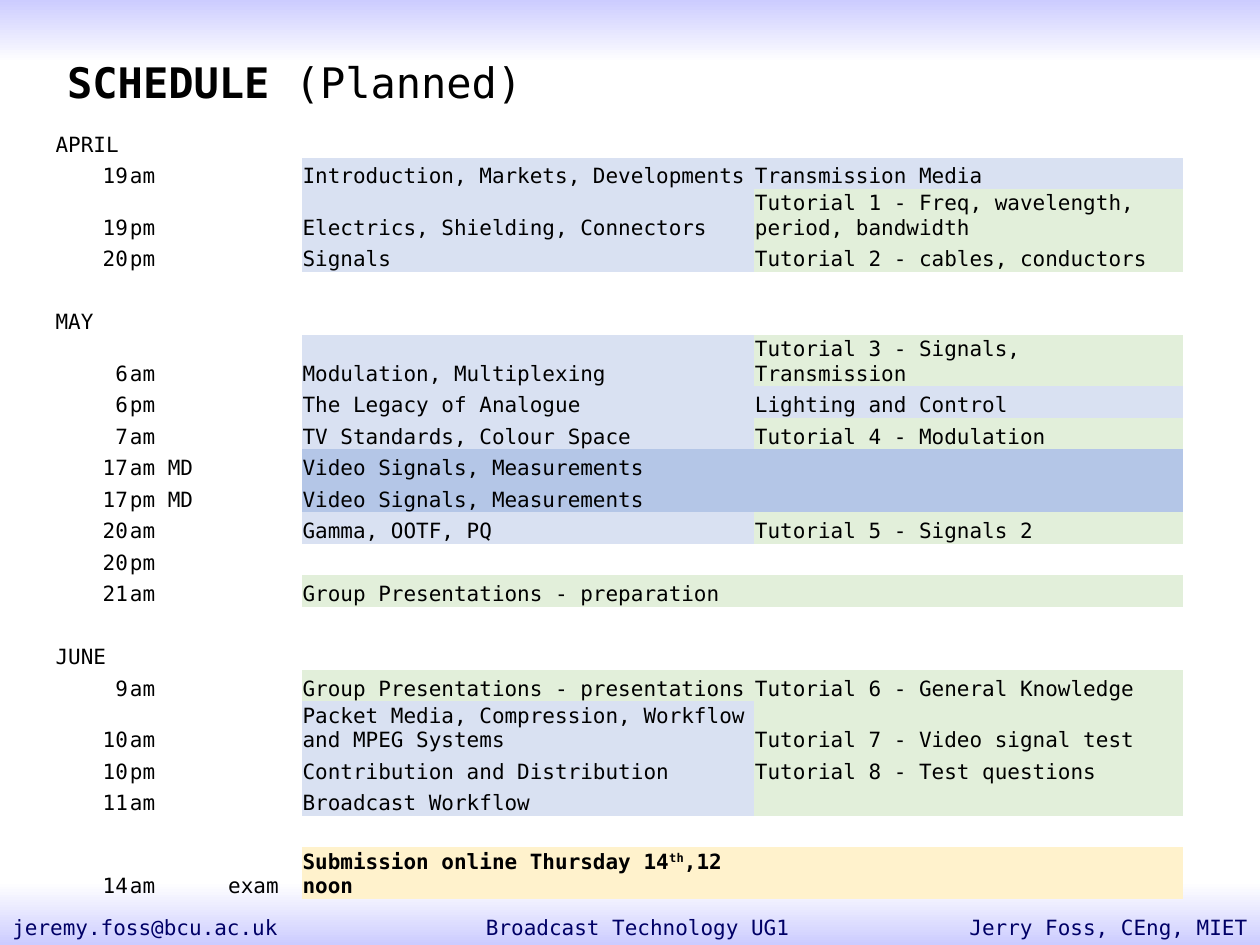
"""Build the planned schedule slide of a broadcast technology course."""
import pptx
import pptx.dml.color
import pptx.enum.shapes
import pptx.enum.text
import pptx.oxml.ns
import pptx.util
from lxml import etree

Cm = pptx.util.Cm
Pt = pptx.util.Pt
RGB = pptx.dml.color.RGBColor
Align = pptx.enum.text.PP_ALIGN
Anchor = pptx.enum.text.MSO_ANCHOR
qn = pptx.oxml.ns.qn

BLACK = RGB(0x00, 0x00, 0x00)
WHITE = RGB(0xFF, 0xFF, 0xFF)
NAVY = RGB(0x00, 0x00, 0x66)
LAVENDER = RGB(0xCC, 0xCC, 0xFF)
LECTURE = RGB(0xD9, 0xE1, 0xF2)
TUTORIAL = RGB(0xE2, 0xEF, 0xDA)
MEDIA_DAY = RGB(0xB4, 0xC6, 0xE7)
DEADLINE = RGB(0xFF, 0xF2, 0xCC)

NO_GRID_STYLE = "{2D5ABB26-0587-4C30-8999-92F81FD0307C}"
COLUMN_WIDTHS = (1.5, 1.98, 1.5, 9.12, 8.64)
ROW_HEIGHT = 0.635
SUBMISSION = (
    ("Submission online Thursday 14", {"bold": True}),
    ("th", {"bold": True, "baseline": 30000}),
    (",12 noon", {"bold": True}),
)
SESSIONS = (
    ("APRIL",),
    ("19", "am", "", "Introduction, Markets, Developments", "Transmission Media", LECTURE, LECTURE),
    ("19", "pm", "", "Electrics, Shielding, Connectors",
     "Tutorial 1 - Freq, wavelength, period, bandwidth", LECTURE, TUTORIAL),
    ("20", "pm", "", "Signals", "Tutorial 2 - cables, conductors", LECTURE, TUTORIAL),
    (),
    ("MAY",),
    ("6", "am", "", "Modulation, Multiplexing", "Tutorial 3 - Signals, Transmission", LECTURE, TUTORIAL),
    ("6", "pm", "", "The Legacy of Analogue", "Lighting and Control", LECTURE, LECTURE),
    ("7", "am", "", "TV Standards, Colour Space", "Tutorial 4 - Modulation", LECTURE, TUTORIAL),
    ("17", "am MD", "", "Video Signals, Measurements", "", MEDIA_DAY, MEDIA_DAY),
    ("17", "pm MD", "", "Video Signals, Measurements", "", MEDIA_DAY, MEDIA_DAY),
    ("20", "am", "", "Gamma, OOTF, PQ", "Tutorial 5 - Signals 2", LECTURE, TUTORIAL),
    ("20", "pm"),
    ("21", "am", "", "Group Presentations - preparation", "", TUTORIAL, TUTORIAL),
    (),
    ("JUNE",),
    ("9", "am", "", "Group Presentations - presentations", "Tutorial 6 - General Knowledge",
     TUTORIAL, TUTORIAL),
    ("10", "am", "", "Packet Media, Compression, Workflow and MPEG Systems",
     "Tutorial 7 - Video signal test", LECTURE, TUTORIAL),
    ("10", "pm", "", "Contribution and Distribution", "Tutorial 8 - Test questions", LECTURE, TUTORIAL),
    ("11", "am", "", "Broadcast Workflow", "", LECTURE, TUTORIAL),
    (),
    ("14", "am", "exam", SUBMISSION, "", DEADLINE, DEADLINE),
)


class ScheduleSlide:
    """Hold the text style and the slide being filled."""

    font_name = "DejaVu Sans Mono"
    body_size = Pt(12)
    title_size = Pt(24)

    def __init__(self, slide):
        self.slide = slide

    def apply(self, target, values):
        """Set every attribute named in values."""
        for name, value in values.items():
            setattr(target, name, value)

    def add_words(self, paragraph, runs, size, colour, align=Align.LEFT):
        """Fill a paragraph with a string or with (text, format) runs."""
        paragraph.alignment = align
        for text, extras in ((runs, {}),) if isinstance(runs, str) else runs:
            run = paragraph.add_run()
            run.text = text
            self.apply(run.font, {"name": self.font_name, "size": size, "bold": extras.get("bold", False)})
            run.font.color.rgb = colour
            if "baseline" in extras:
                run._r.get_or_add_rPr().set("baseline", str(extras["baseline"]))

    def band(self, top, colours):
        """Draw a full-width strip that fades downwards."""
        strip = self.slide.shapes.add_shape(
            pptx.enum.shapes.MSO_SHAPE.RECTANGLE, 0, Cm(top), Cm(25.4), Cm(1.27))
        strip.shadow.inherit = False
        strip.line.fill.background()
        strip.fill.gradient()
        strip.fill.gradient_angle = 270
        for stop, colour in zip(strip.fill.gradient_stops, colours):
            stop.color.rgb = colour

    def title(self, runs):
        """Place and format the title placeholder."""
        heading = self.slide.shapes.title
        self.apply(heading, {"left": Cm(1.1), "top": Cm(1.02), "width": Cm(22.76), "height": Cm(1.27)})
        self.apply(heading.text_frame, {"word_wrap": True, "vertical_anchor": Anchor.MIDDLE})
        self.add_words(heading.text_frame.paragraphs[0], runs, self.title_size, BLACK)

    def footer(self, text, left, width, align):
        """Add one piece of the footer line."""
        note = self.slide.shapes.add_textbox(Cm(left), Cm(18.31), Cm(width), Cm(0.75))
        note.text_frame.word_wrap = True
        self.add_words(note.text_frame.paragraphs[0], text, self.body_size, NAVY, align)

    def cell(self, cell, content, fill):
        """Fill one table cell, right-aligning day numbers."""
        self.apply(cell, {"margin_left": Cm(0.02), "margin_right": Cm(0.02), "margin_top": Cm(0.02),
                          "margin_bottom": 0, "vertical_anchor": Anchor.BOTTOM})
        if fill is None:
            cell.fill.background()
        else:
            cell.fill.solid()
            cell.fill.fore_color.rgb = fill
        paragraph = cell.text_frame.paragraphs[0]
        if content:
            is_day = isinstance(content, str) and content.isdigit()
            self.add_words(paragraph, content, self.body_size, BLACK, Align.RIGHT if is_day else Align.LEFT)
        else:
            etree.SubElement(paragraph._p, qn("a:endParaRPr")).set("sz", str(int(self.body_size.pt * 100)))

    def schedule(self, sessions):
        """Add the table of sessions."""
        frame = self.slide.shapes.add_table(
            len(sessions), len(COLUMN_WIDTHS), Cm(1.1), Cm(2.54),
            Cm(sum(COLUMN_WIDTHS)), Cm(ROW_HEIGHT * len(sessions)))
        timetable = frame.table
        self.apply(timetable, {"first_row": False, "horz_banding": False})
        timetable._tbl.tblPr.find(qn("a:tableStyleId")).text = NO_GRID_STYLE
        for column, width in zip(timetable.columns, COLUMN_WIDTHS):
            column.width = Cm(width)
        for row, session in zip(timetable.rows, sessions):
            row.height = Cm(ROW_HEIGHT)
            contents = session[:5] + ("",) * (5 - len(session))
            fills = (None,) * 3 + (session[5:] or (None, None))
            for cell, content, fill in zip(row.cells, contents, fills):
                self.cell(cell, content, fill)


def main():
    """Create and save the presentation."""
    deck = pptx.Presentation()
    deck.slide_width, deck.slide_height = Cm(25.4), Cm(19.05)
    page = ScheduleSlide(deck.slides.add_slide(deck.slide_layouts[5]))
    page.band(0, (LAVENDER, WHITE))
    page.band(17.78, (WHITE, LAVENDER))
    page.footer("Broadcast Technology UG1", 6.76, 12.19, Align.CENTER)
    page.footer("jeremy.foss@bcu.ac.uk", 0, 8.05, Align.LEFT)
    page.footer("Jerry Foss, CEng, MIET", 17.35, 8.05, Align.RIGHT)
    page.title((("SCHEDULE ", {"bold": True}), ("(Planned)", {})))
    page.schedule(SESSIONS)
    deck.save("out.pptx")


if __name__ == "__main__":
    main()
